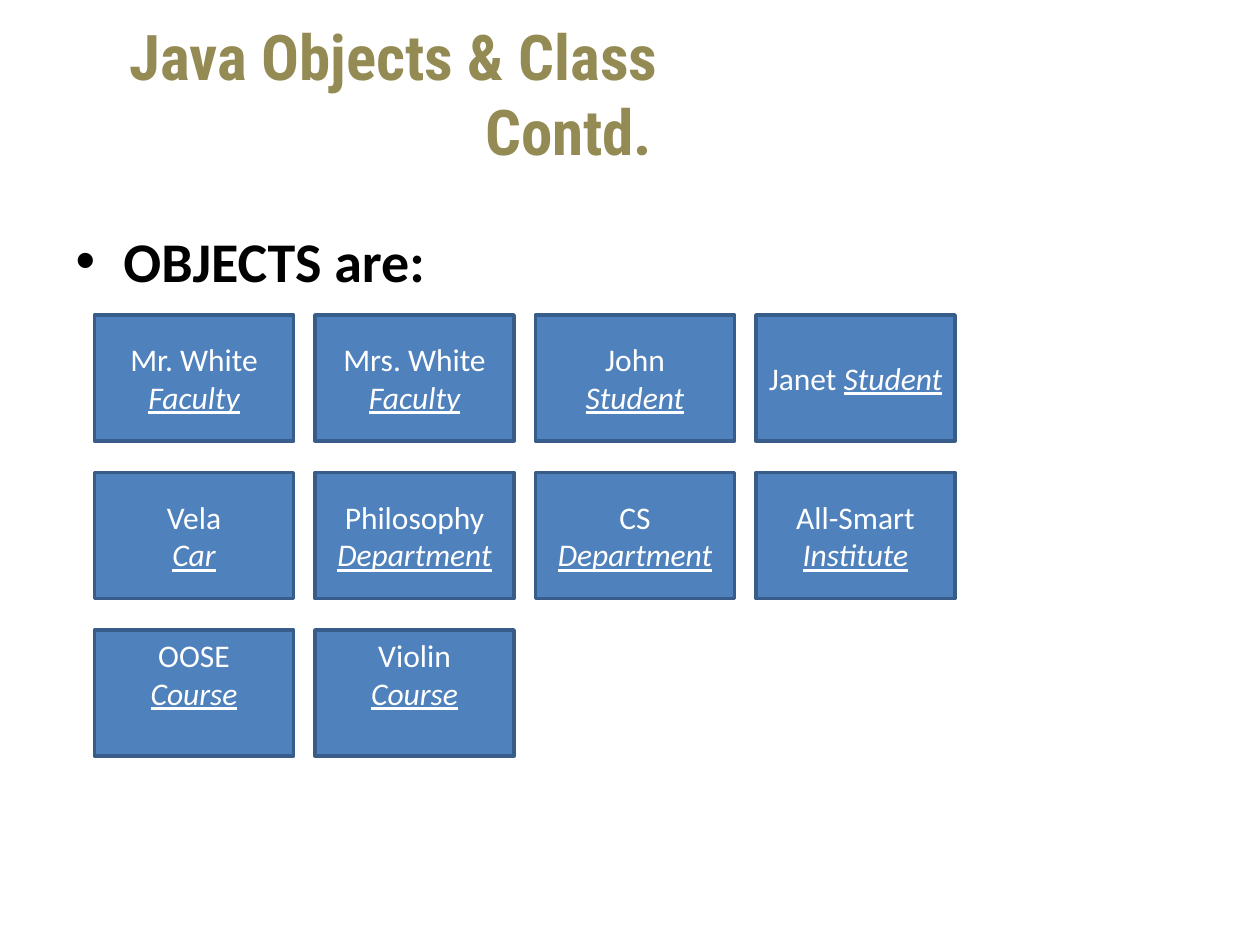
from pptx import Presentation
from pptx.dml.color import RGBColor as RGB
from pptx.enum.shapes import MSO_SHAPE as SHAPE
from pptx.enum.text import MSO_ANCHOR as ANCHOR, MSO_AUTO_SIZE as FIT, PP_ALIGN as ALIGN
from pptx.util import Inches, Pt

COLORS = {"title": "948A54", "text": "000000", "fill": "4F81BD", "line": "385D8A", "label": "FFFFFF"}

OBJECTS = [
    [("Mr. White", "Faculty"), ("Mrs. White", "Faculty"), ("John", "Student"), ("Janet ", "Student")],
    [("Vela", "Car"), ("Philosophy", "Department"), ("CS", "Department"), ("All-Smart", "Institute")],
    [("OOSE", "Course"), ("Violin", "Course")],
]
LEFT, TOP = 0.75, 2.5
STEP_X, STEP_Y = 1.75, 1.25
BOX_W, BOX_H = 1.58, 1


class Deck:
    body_font = "Calibri"
    title_font = "Roboto Condensed"

    def __init__(self, prs):
        self.s = prs.slides.add_slide(prs.slide_layouts[1])

    def run(self, p, text, size, color, font=body_font, **style):
        r = p.add_run()
        r.text = text
        r.font.name = font
        r.font.size = Pt(size)
        r.font.color.rgb = RGB.from_string(COLORS[color])
        for name, value in style.items():
            setattr(r.font, name, value)

    def place(self, sp, left, top, width, height, anchor):
        sp.left, sp.top = Inches(left), Inches(top)
        sp.width, sp.height = Inches(width), Inches(height)
        tf = sp.text_frame
        tf.auto_size = FIT.NONE
        tf.word_wrap = True
        tf.vertical_anchor = anchor
        return tf.paragraphs[0]

    def hang(self, p, margin, indent):
        pPr = p._p.get_or_add_pPr()
        pPr.set("marL", str(Inches(margin)))
        pPr.set("indent", str(Inches(indent)))

    def title(self, first, second):
        p = self.place(self.s.shapes.title, 0.5, 0.3, 8.17, 0.87, ANCHOR.MIDDLE)
        p.alignment = ALIGN.LEFT
        self.hang(p, 3.25, -2.82)
        self.run(p, first, 36, "title", self.title_font, bold=True)
        p.add_line_break()
        self.run(p, second, 36, "title", self.title_font, bold=True)

    def body(self, text):
        p = self.place(self.s.placeholders[1], 0.5, 1.75, 9, 4.95, ANCHOR.TOP)
        p.space_before = Pt(8)
        self.hang(p, 0.38, -0.38)
        self.run(p, text, 32, "text", bold=True)

    def box(self, left, top, name, kind, bottom):
        sp = self.s.shapes.add_shape(SHAPE.RECTANGLE, Inches(left), Inches(top), Inches(BOX_W), Inches(BOX_H))
        sp.shadow.inherit = False
        sp.fill.solid()
        sp.fill.fore_color.rgb = RGB.from_string(COLORS["fill"])
        sp.line.color.rgb = RGB.from_string(COLORS["line"])
        sp.line.width = Pt(2)
        tf = sp.text_frame
        tf.word_wrap = True
        tf.vertical_anchor = ANCHOR.MIDDLE
        tf.margin_bottom = Inches(bottom)
        p = tf.paragraphs[0]
        p.alignment = ALIGN.CENTER
        self.run(p, name, 18, "label")
        if not name.endswith(" "):
            p = tf.add_paragraph()
            p.alignment = ALIGN.CENTER
        self.run(p, kind, 18, "label", italic=True, underline=True)


def main():
    prs = Presentation()
    prs.slide_width, prs.slide_height = Inches(10), Inches(7.5)
    deck = Deck(prs)
    deck.title("Java Objects & Class", "Contd.")
    deck.body("OBJECTS are:")
    for row, objects in enumerate(OBJECTS):
        for col, (name, kind) in enumerate(objects):
            bottom = 0.35 if kind == "Course" else 0.05
            deck.box(LEFT + col * STEP_X, TOP + row * STEP_Y, name, kind, bottom)
    prs.save("out.pptx")


if __name__ == "__main__":
    main()
